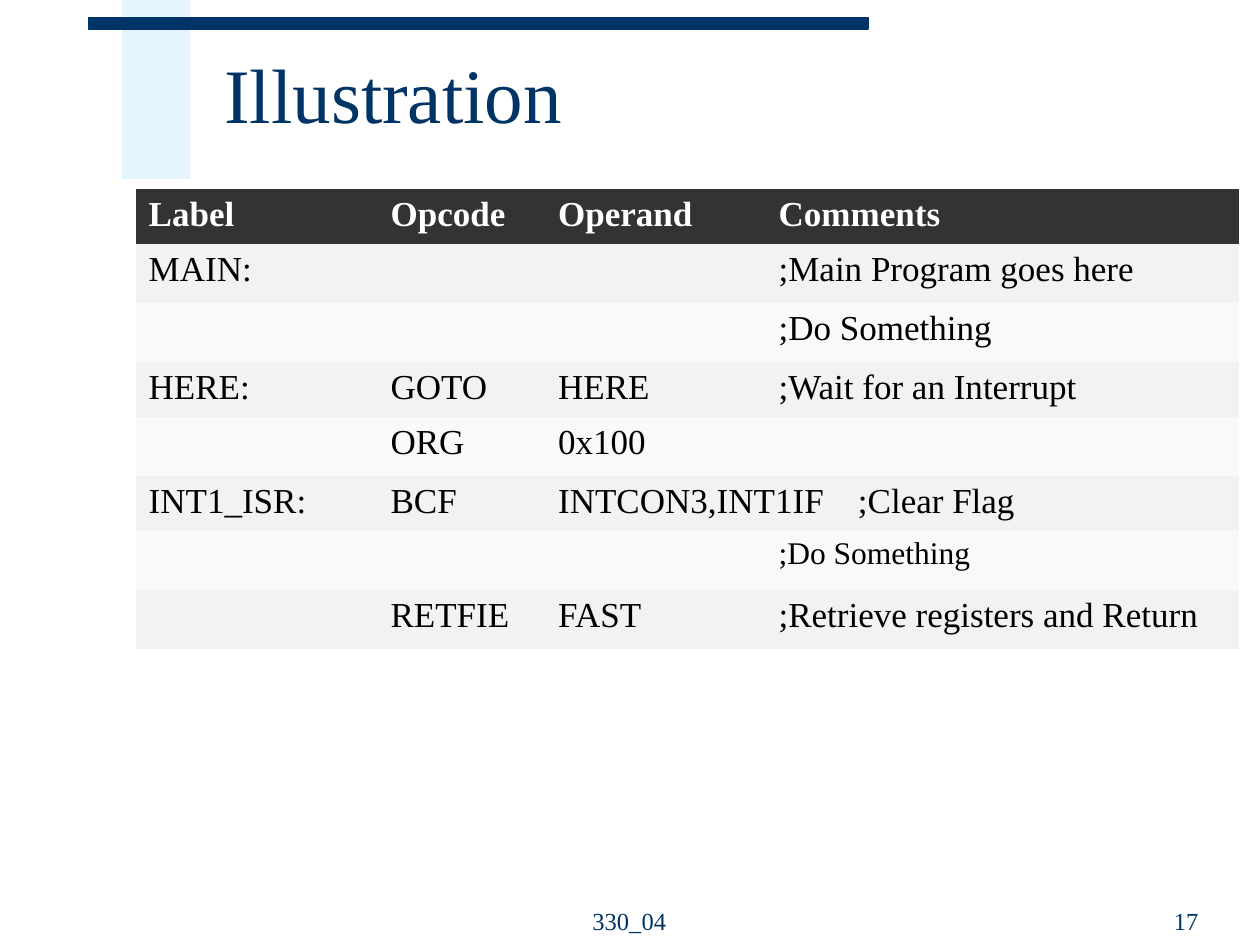
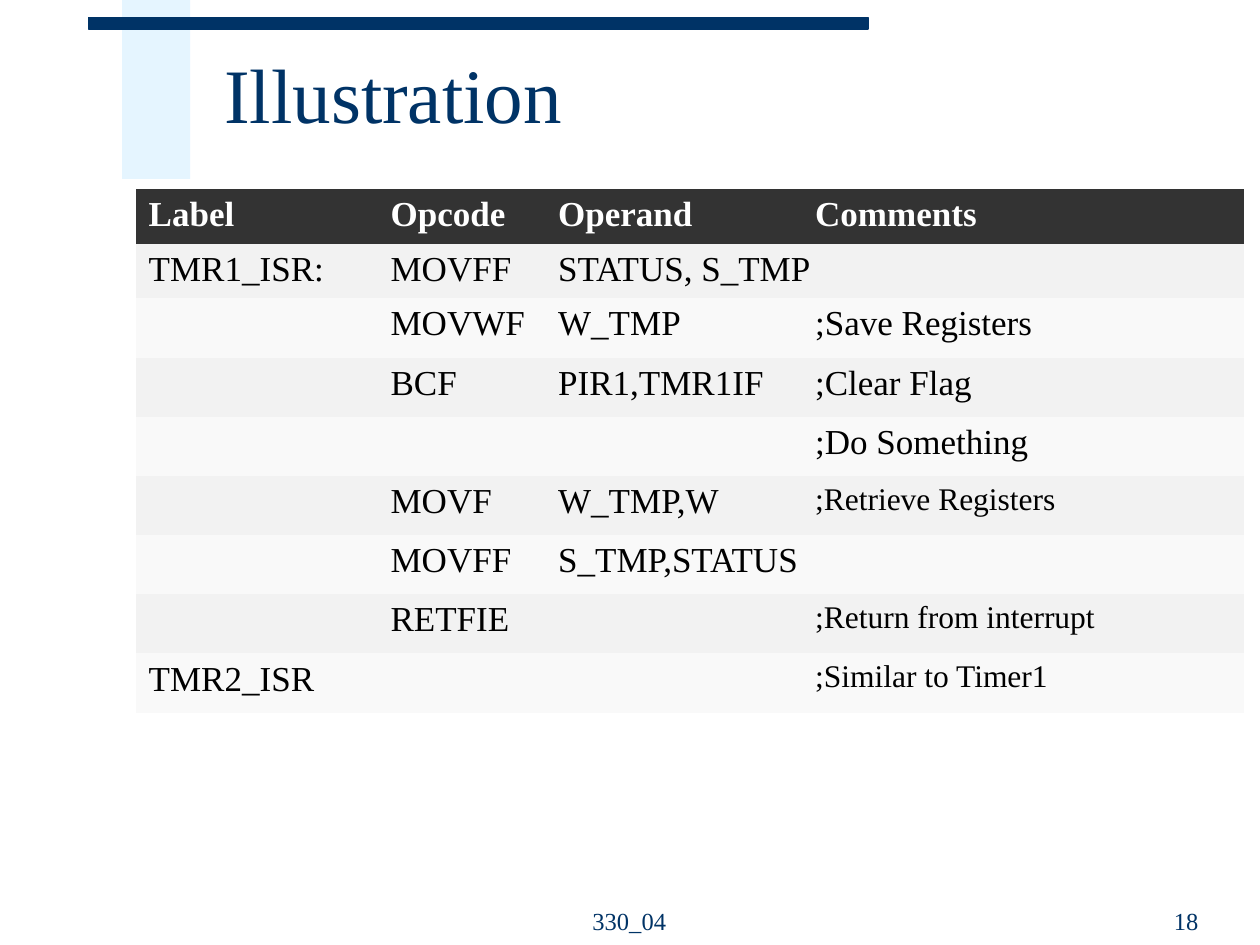
from lxml.etree import SubElement
from pptx import Presentation
from pptx.dml.color import RGBColor
from pptx.enum.shapes import MSO_SHAPE as SHAPE
from pptx.enum.text import MSO_ANCHOR as ANCHOR, MSO_AUTO_SIZE as AUTO, PP_ALIGN as ALIGN
from pptx.oxml.ns import qn
from pptx.util import Inches, Pt

FONT = "Times New Roman"
NAVY, PALE, WHITE, BLACK = "003366", "CCECFF", "FFFFFF", "000000"
HEADER_FILL, BAND_FILLS = "333333", ("F2F2F2", "F9F9F9")
NO_GRID = "{2D5ABB26-0587-4C30-8999-92F81FD0307C}"
TITLE, FOOTER = "Illustration", "330_04"
HEADER = ("Label", "Opcode", "Operand", "Comments")
TABLE_LEFT, TABLE_TOP = 1.08, 1.5
FULL_ROW, GAP_ROW = 0.43, 0.47
COMMENT_TAB = 2.38

SLIDES = [
    {
        "number": "17",
        "cols": (1.92, 1.33, 1.75, 3.75),
        "small": {";Do Something": 6},
        "rows": [
            ("MAIN:", "", "", ";Main Program goes here"),
            ("", "", "", ";Do Something"),
            ("HERE:", "GOTO", "HERE", ";Wait for an Interrupt"),
            ("", "ORG", "0x100", ""),
            ("INT1_ISR:", "BCF", "INTCON3,INT1IF\t;Clear Flag", None),
            ("", "", "", ";Do Something"),
            ("", "RETFIE", "FAST", ";Retrieve registers and Return"),
        ],
    },
    {
        "number": "18",
        "cols": (1.92, 1.33, 2.04, 3.5),
        "small": {";Retrieve Registers": 5, ";Return from interrupt": 7, ";Similar to Timer1": 8},
        "rows": [
            ("TMR1_ISR:", "MOVFF", "STATUS, S_TMP", None),
            ("", "MOVWF", "W_TMP", ";Save Registers"),
            ("", "BCF", "PIR1,TMR1IF", ";Clear Flag"),
            ("", "", "", ";Do Something"),
            ("", "MOVF", "W_TMP,W", ";Retrieve Registers"),
            ("", "MOVFF", "S_TMP,STATUS", None),
            ("", "RETFIE", "", ";Return from interrupt"),
            ("TMR2_ISR", "", "", ";Similar to Timer1"),
        ],
    },
]


def rgb(color):
    return RGBColor.from_string(color)


def write(tf, text, size, color, bold=False, align=ALIGN.LEFT):
    p = tf.paragraphs[0]
    p.alignment = align
    r = p.add_run()
    r.text = text
    for name, value in {"name": FONT, "size": Pt(size), "bold": bold}.items():
        setattr(r.font, name, value)
    r.font.color.rgb = rgb(color)
    return p


def add_band(s, box, color, alpha=None):
    sp = s.shapes.add_shape(SHAPE.RECTANGLE, *map(Inches, box))
    sp.shadow.inherit = False
    sp.fill.solid()
    sp.fill.fore_color.rgb = rgb(color)
    if alpha:
        fill = sp.element.spPr.find(qn("a:solidFill"))
        SubElement(fill[0], qn("a:alpha"), val=str(alpha * 1000))
        sp.line.fill.background()
    else:
        sp.line.color.rgb = rgb(color)
        sp.line.width = Pt(0.75)
    return sp


def add_layout_bands(s):
    bands = [add_band(s, (0.97, 0, 0.54, 1.42), PALE, 50),
             add_band(s, (0.7, 0.14, 6.19, 0.09), NAVY)]
    for i, sp in enumerate(bands):
        s.slide_layout.shapes.element.insert(2 + i, sp.element)


def add_title(s):
    sp = s.shapes.title
    box = {"left": 1.68, "top": 0.17, "width": 8.07, "height": 1.25}
    for name, value in box.items():
        setattr(sp, name, Inches(value))
    tf = sp.text_frame
    for name, value in {"auto_size": AUTO.NONE, "vertical_anchor": ANCHOR.MIDDLE}.items():
        setattr(tf, name, value)
    write(tf, TITLE, 44, NAVY).line_spacing = 0.85


def add_footer(s, left, width, text, align):
    tf = s.shapes.add_textbox(*map(Inches, (left, 6.97, width, 0.5))).text_frame
    for name, value in {"word_wrap": True, "vertical_anchor": ANCHOR.BOTTOM}.items():
        setattr(tf, name, value)
    write(tf, text, 14, NAVY, align=align)


def add_code_table(s, cols, rows, small):
    rows = [HEADER] + rows
    heights = [GAP_ROW if "" in row else FULL_ROW for row in rows]
    box = (TABLE_LEFT, TABLE_TOP, sum(cols), sum(heights))
    frame = s.shapes.add_table(len(rows), len(cols), *map(Inches, box))
    next(frame.element.iter(qn("a:tableStyleId"))).text = NO_GRID
    table = frame.table
    for col, width in zip(table.columns, cols):
        col.width = Inches(width)
    for i, row in enumerate(rows):
        table.rows[i].height = Inches(heights[i])
        for j, text in enumerate(row):
            cell = table.cell(i, j)
            cell.fill.solid()
            cell.fill.fore_color.rgb = rgb(BAND_FILLS[(i - 1) % 2] if i else HEADER_FILL)
            if text is None:
                table.cell(i, j - 1).merge(cell)
            elif text:
                size = 18 if small.get(text) == i else 20
                p = write(cell.text_frame, text, size, BLACK if i else WHITE, bold=not i)
                if "\t" in text:
                    tabs = SubElement(p.runs[0].font._element.getparent().getparent().get_or_add_pPr(),
                                      qn("a:tabLst"))
                    SubElement(tabs, qn("a:tab"), pos=str(Inches(COMMENT_TAB)), algn="l")


def main():
    prs = Presentation()
    prs.slide_width, prs.slide_height = Inches(10), Inches(7.5)
    layout = prs.slide_layouts[5]
    for i, data in enumerate(SLIDES):
        s = prs.slides.add_slide(layout)
        if i == 0:
            add_layout_bands(s)
        add_title(s)
        add_footer(s, 4.08, 1.83, FOOTER, ALIGN.CENTER)
        add_footer(s, 7.21, 2.4, data["number"], ALIGN.RIGHT)
        add_code_table(s, data["cols"], data["rows"], data["small"])
    prs.save("out.pptx")


if __name__ == "__main__":
    main()
